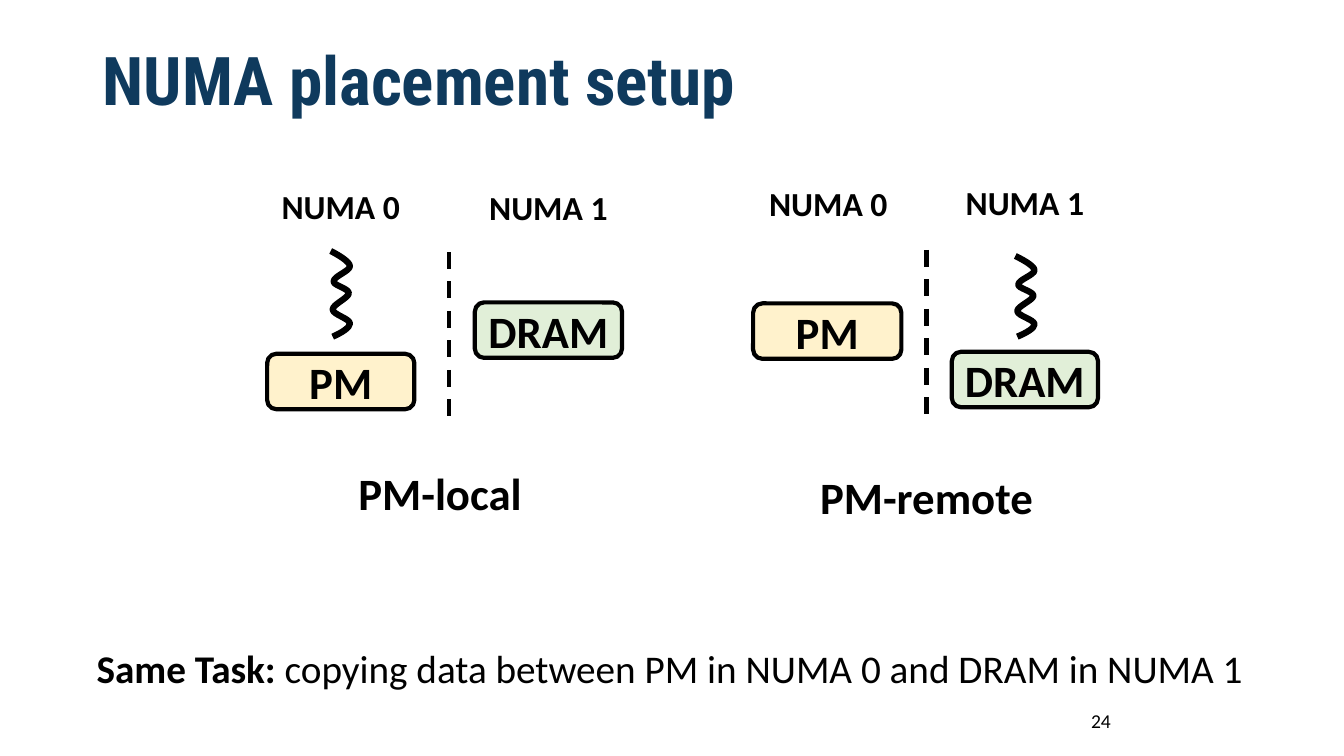
from lxml.etree import SubElement
from pptx import Presentation
from pptx.dml.color import RGBColor
from pptx.enum.dml import MSO_LINE
from pptx.enum.shapes import MSO_CONNECTOR, MSO_SHAPE
from pptx.enum.text import MSO_ANCHOR, MSO_AUTO_SIZE, PP_ALIGN
from pptx.oxml.ns import qn
from pptx.util import Inches, Pt

BLACK = "000000"
MEMORY_FILLS = {"PM": "FFF2CC", "DRAM": "E1EFD8"}
THREAD_START = (0.02, 0.85)
THREAD_CURVES = [
    ((0.11, 0.81), (0.19, 0.76), (0.19, 0.72)),
    ((0.19, 0.67), (0.02, 0.63), (0.02, 0.58)),
    ((0.02, 0.53), (0.17, 0.47), (0.18, 0.42)),
    ((0.18, 0.37), (0.02, 0.34), (0.03, 0.30)),
    ((0.03, 0.25), (0.19, 0.20), (0.19, 0.15)),
    ((0.19, 0.10), (0.04, 0.02), (0, 0)),
]
THREAD_HEIGHT = 0.85


def color(hex_value):
    return RGBColor.from_string(hex_value)


def set_line(shape, width):
    shape.line.color.rgb = color(BLACK)
    shape.line.width = Pt(width)


def style_paragraph(paragraph, size, font="Calibri", hex_color=BLACK, bold=True,
                    align=PP_ALIGN.CENTER, spacing=None):
    paragraph.alignment = align
    paragraph.line_spacing = spacing
    paragraph.font.size = Pt(size)
    paragraph.font.name = font
    paragraph.font.bold = bold
    paragraph.font.color.rgb = color(hex_color)


def add_text(slide, box, text, size, anchor=MSO_ANCHOR.TOP,
             fit=MSO_AUTO_SIZE.NONE, **style):
    frame = slide.shapes.add_textbox(*map(Inches, box)).text_frame
    frame.word_wrap = True
    frame.auto_size = fit
    frame.vertical_anchor = anchor
    paragraph = frame.paragraphs[0]
    paragraph.text = text
    style_paragraph(paragraph, size, **style)
    return paragraph


def add_memory(slide, kind, left, top, width):
    memory = slide.shapes.add_shape(
        MSO_SHAPE.ROUNDED_RECTANGLE, *map(Inches, (left, top, width, 0.55)))
    memory.shadow.inherit = False
    memory.fill.solid()
    memory.fill.fore_color.rgb = color(MEMORY_FILLS[kind])
    set_line(memory, 3)
    memory.text_frame.vertical_anchor = MSO_ANCHOR.MIDDLE
    paragraph = memory.text_frame.paragraphs[0]
    paragraph.text = kind
    style_paragraph(paragraph, 32)


def add_divider(slide, x, top, bottom):
    divider = slide.shapes.add_connector(
        MSO_CONNECTOR.STRAIGHT, *map(Inches, (x, top, x, bottom)))
    set_line(divider, 3)
    divider.line.dash_style = MSO_LINE.DASH
    SubElement(divider._element.spPr, qn("a:effectLst"))


def add_thread(slide, left, top, height):
    stretch = height / THREAD_HEIGHT

    def place(point, x=0, y=0):
        return Inches(x + point[0]), Inches(y + point[1] * stretch)

    builder = slide.shapes.build_freeform(*place(THREAD_START, left, top))
    builder.add_line_segments(
        [place(curve[-1], left, top) for curve in THREAD_CURVES], close=False)
    thread = builder.convert_to_shape()
    segments = list(thread._element.iter(qn("a:lnTo")))
    for segment, curve in zip(segments, THREAD_CURVES):
        bend = segment.makeelement(qn("a:cubicBezTo"))
        for point in curve:
            x, y = place(point)
            SubElement(bend, qn("a:pt"), x=str(x), y=str(y))
        segment.getparent().replace(segment, bend)
    thread.shadow.inherit = False
    thread.fill.background()
    set_line(thread, 4.5)


def add_local_setup(slide):
    add_text(slide, (2.65, 1.84, 1.46, 0.48), "NUMA 0", 24, spacing=0.9)
    add_text(slide, (4.71, 1.85, 1.46, 0.55), "NUMA 1", 24, spacing=0.9)
    add_thread(slide, 3.28, 2.49, 0.85)
    add_memory(slide, "PM", 2.65, 3.51, 1.46)
    add_divider(slide, 4.45, 2.5, 4.14)
    add_memory(slide, "DRAM", 4.71, 3, 1.46)
    add_text(slide, (3.22, 4.67, 2.29, 0.55), "PM-local", 32, spacing=0.8)


def add_remote_setup(slide):
    add_text(slide, (7.07, 1.81, 2.29, 0.55), "NUMA 0", 24, spacing=0.9)
    add_text(slide, (9.02, 1.8, 2.29, 0.55), "NUMA 1", 24, spacing=0.9)
    add_memory(slide, "PM", 7.47, 3.01, 1.47)
    add_divider(slide, 9.19, 2.48, 4.11)
    add_thread(slide, 10.07, 2.54, 0.8)
    add_memory(slide, "DRAM", 9.44, 3.49, 1.45)
    add_text(slide, (7.94, 4.67, 2.5, 0.55), "PM-remote", 32, spacing=0.9)


def main():
    deck = Presentation()
    deck.slide_width = Inches(13.33)
    deck.slide_height = Inches(7.5)
    slide = deck.slides.add_slide(deck.slide_layouts[6])
    add_text(slide, (0.92, 0.4, 11.63, 0.87), "NUMA placement setup", 48,
             MSO_ANCHOR.MIDDLE, font="Roboto Condensed", hex_color="0F3A5D",
             align=PP_ALIGN.LEFT, spacing=0.9)
    add_local_setup(slide)
    add_remote_setup(slide)
    task = add_text(slide, (0.86, 6.34, 11.74, 0.57), "Same Task: ", 28,
                    fit=MSO_AUTO_SIZE.SHAPE_TO_FIT_TEXT, bold=None,
                    align=PP_ALIGN.LEFT)
    task.runs[0].font.bold = True
    task.add_run().text = "copying data between PM in NUMA 0 and DRAM in NUMA 1"
    add_text(slide, (9.42, 6.95, 3, 0.4), "24", 14, MSO_ANCHOR.MIDDLE, bold=False)
    deck.save("out.pptx")


if __name__ == "__main__":
    main()
